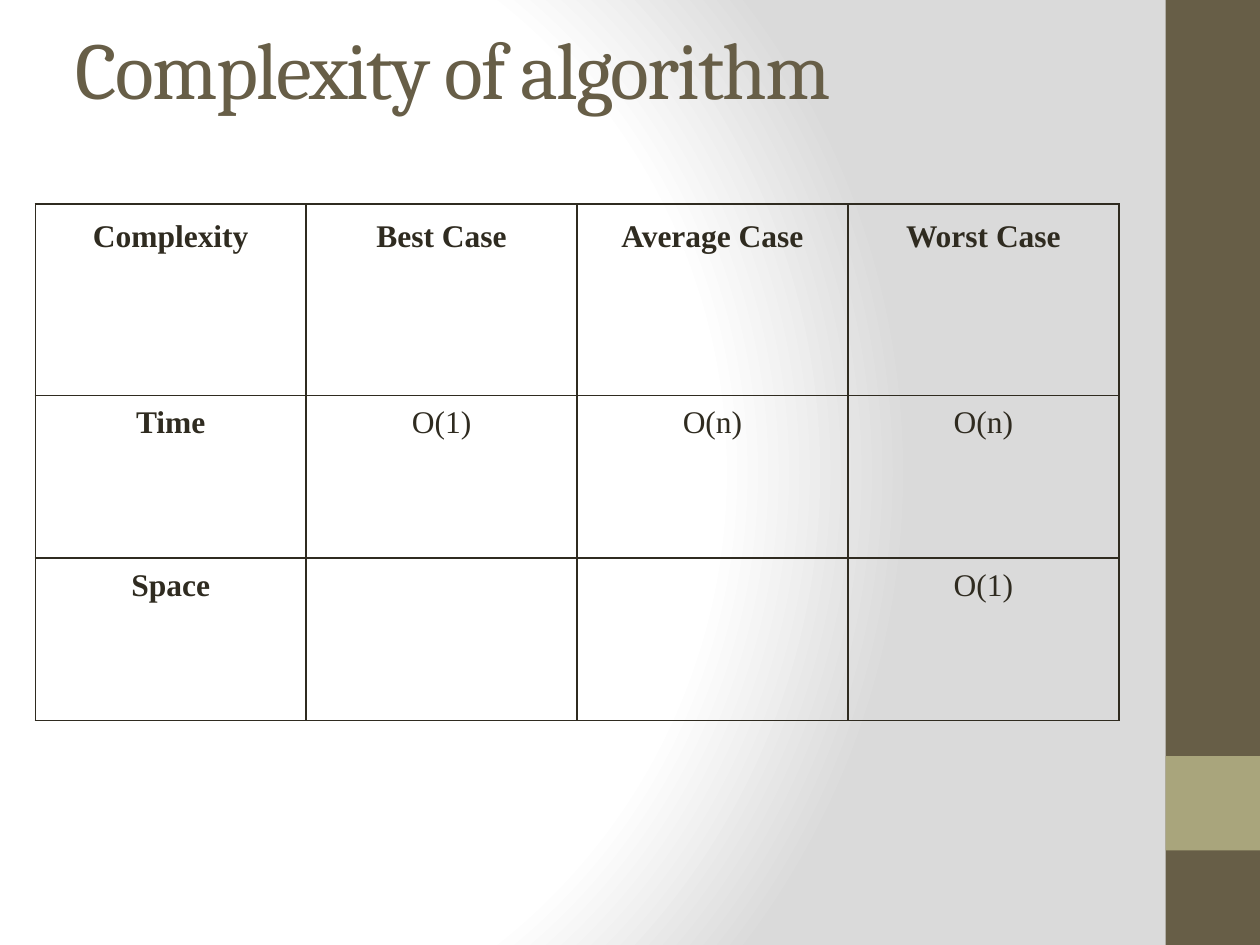
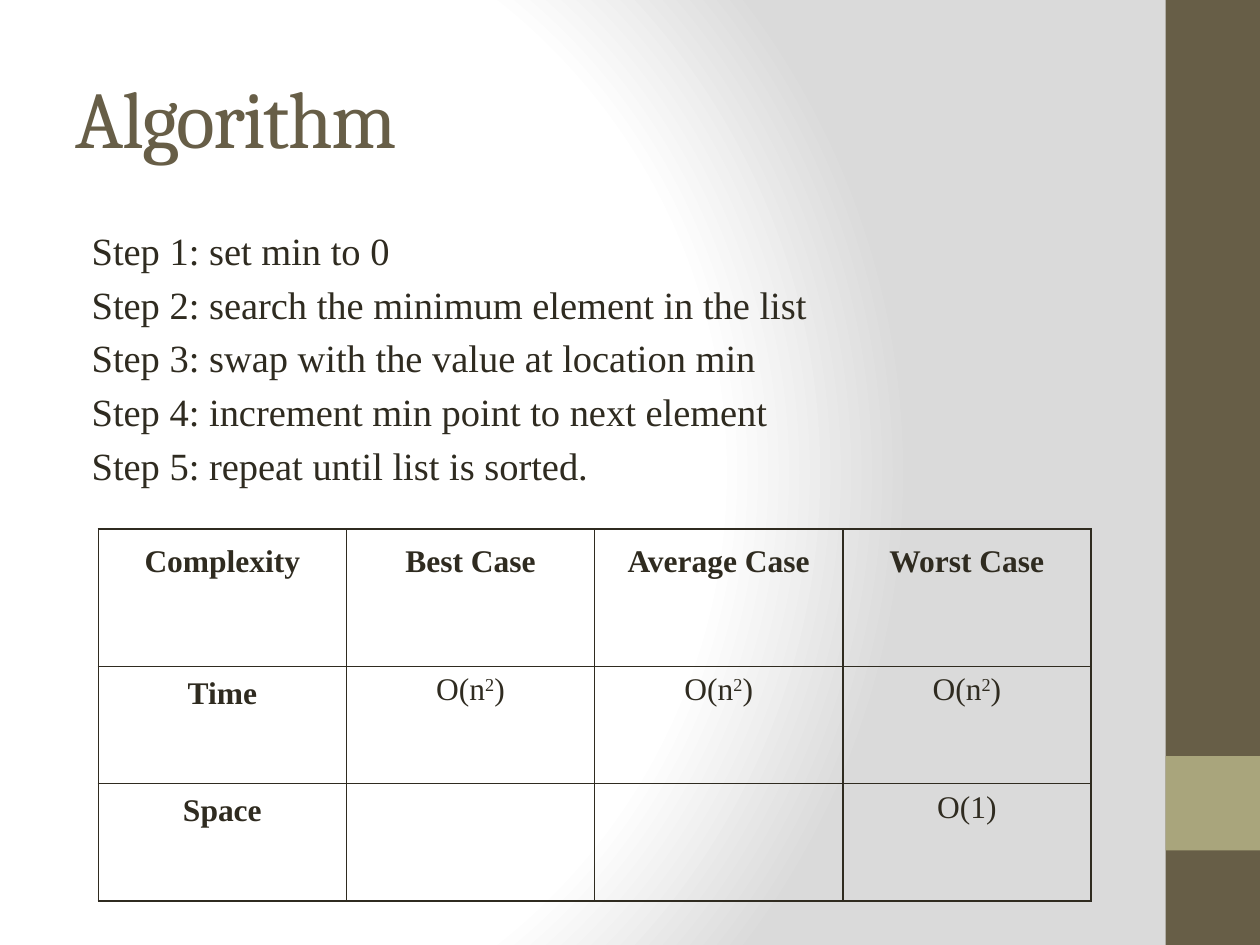
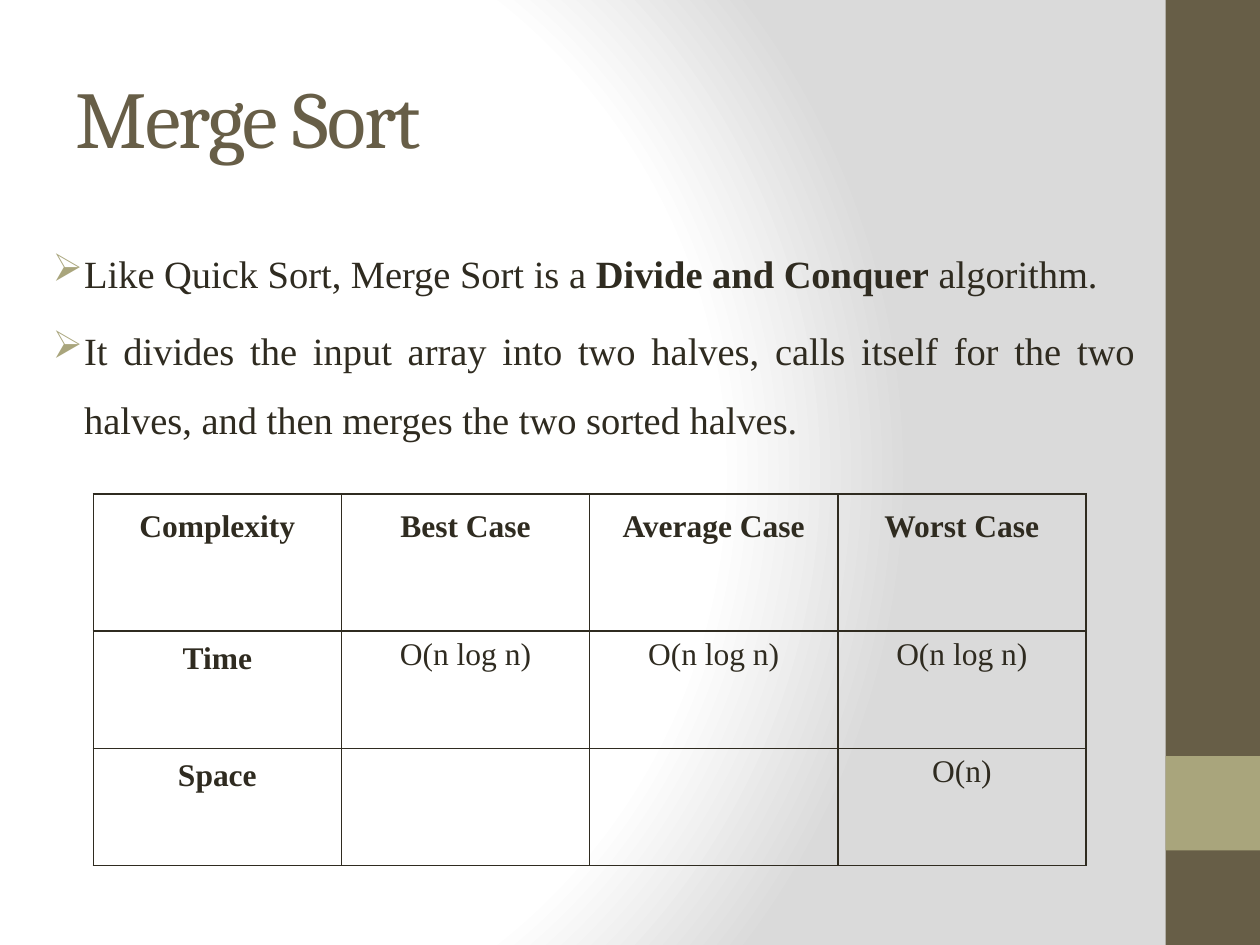
"""Builds three slides on the complexity of sorting and searching algorithms."""

from dataclasses import dataclass

from lxml.etree import SubElement
from pptx import Presentation
from pptx.dml.color import RGBColor
from pptx.enum.shapes import MSO_SHAPE
from pptx.enum.text import MSO_ANCHOR, PP_ALIGN
from pptx.oxml import parse_xml
from pptx.oxml.ns import nsdecls, qn
from pptx.util import Inches, Pt


@dataclass(frozen=True)
class Theme:
    olive: str = "675E47"
    sage: str = "A9A57C"
    ink: str = "2F2B20"
    white: str = "FFFFFF"
    grey: str = "DADADA"
    title_font: str = "Cambria"
    text_font: str = "Times New Roman"
    title_size: int = 46
    body_size: int = 22
    table_size: int = 18


THEME = Theme()

BANDS = [
    ((9.25, 0, 0.75, 7.5), THEME.olive),
    ((9.25, 6, 0.75, 0.75), THEME.sage),
]
TITLE_BOX = (0.5, 0.3, 8.33, 1.25)
HEADINGS = ["Complexity", "Best Case", "Average Case", "Worst Case"]
SQUARE = [("O(n", ""), ("2", "super"), (")", "")]

SLIDES = [
    {
        "title": "Complexity of algorithm",
        "title_bottom_inset": 0.83,
        "table": {
            "at": (0.28, 1.62), "column": 2.15, "rows": (1.52, 1.29, 1.29),
            "value_insets": (0.08, 0.08),
            "time": ["O(1)", "O(n)", "O(n)"], "space": ["", "", "O(1)"],
        },
    },
    {
        "title": "Algorithm",
        "body": {
            "box": (0.5, 1.75, 8.33, 5.25), "line_spacing": 1, "bullet": None,
            "paragraphs": [
                "Step 1: set min to 0",
                "Step 2: search the minimum element in the list",
                "Step 3: swap with the value at location min",
                "Step 4: increment min point to next element",
                "Step 5: repeat until list is sorted.",
            ],
        },
        "table": {
            "at": (0.78, 4.2), "column": 1.97, "rows": (1.09, 0.93, 0.93),
            "value_insets": (0.1, 0.05),
            "time": [SQUARE, SQUARE, SQUARE], "space": ["", "", "O(1)"],
        },
    },
    {
        "title": "Merge Sort",
        "body": {
            "box": (0.19, 1.75, 8.92, 5.26), "line_spacing": 1.5, "bullet": "➢",
            "paragraphs": [
                [
                    ("Like Quick Sort, Merge Sort is a", ""),
                    (" Divide and Conquer", "bold"),
                    (" algorithm.", ""),
                ],
                "It divides the input array into two halves, calls itself for the two "
                "halves, and then merges the two sorted halves.",
            ],
        },
        "table": {
            "at": (0.74, 3.92), "column": 1.97, "rows": (1.09, 0.93, 0.93),
            "value_insets": (0.1, 0.05),
            "time": ["O(n log n)"] * 3, "space": ["", "", "O(n)"],
        },
    },
]


def inches(values):
    """Converts a sequence of numbers to lengths."""
    return [Inches(value) for value in values]


def format_font(font, name, size, color):
    """Sets the typeface, size and colour of a font."""
    font.name = name
    font.size = Pt(size)
    font.color.rgb = RGBColor.from_string(color)


def write_runs(paragraph, content, size, bold=False):
    """Fills a paragraph from a string or from (text, style) pairs."""
    pieces = [(content, "")] if isinstance(content, str) else content
    for text, style in pieces:
        run = paragraph.add_run()
        run.text = text
        format_font(run.font, THEME.text_font, size, THEME.ink)
        run.font.bold = bold or style == "bold"
        if style == "super":
            run.font._element.set("baseline", "30000")


def decorate_master(master, slide):
    """Gives the master its gradient background and side bands."""
    master.background.fill.gradient()
    gradient = next(master.element.iter(qn("a:gradFill")))
    stops = "".join(
        f'<a:gs pos="{position}"><a:srgbClr val="{color}"/></a:gs>'
        for position, color in [(0, THEME.white), (75000, THEME.white), (100000, THEME.grey)]
    )
    gradient.getparent().replace(gradient, parse_xml(
        f'<a:gradFill {nsdecls("a")} rotWithShape="1"><a:gsLst>{stops}</a:gsLst>'
        '<a:path path="circle"><a:fillToRect l="20000" t="50000" r="100000" b="50000"/>'
        '</a:path></a:gradFill>'
    ))
    for index, (box, color) in enumerate(BANDS):
        band = slide.shapes.add_shape(MSO_SHAPE.RECTANGLE, *inches(box))
        band.shadow.inherit = False
        band.fill.solid()
        band.fill.fore_color.rgb = RGBColor.from_string(color)
        band.line.fill.background()
        band.element.nvSpPr.cNvPr.set("id", str(100 + index))
        master.shapes.element.insert(2 + index, band.element)


def add_title(slide, text, bottom_inset):
    """Places and formats the title placeholder."""
    title = slide.shapes.title
    title.left, title.top, title.width, title.height = inches(TITLE_BOX)
    frame = title.text_frame
    frame.text = text
    frame.vertical_anchor = MSO_ANCHOR.MIDDLE
    frame.margin_bottom = Inches(bottom_inset)
    paragraph = frame.paragraphs[0]
    paragraph.alignment = PP_ALIGN.LEFT
    font = paragraph.runs[0].font
    format_font(font, THEME.title_font, THEME.title_size, THEME.olive)
    font._element.set("spc", "-100")


def add_body(slide, body):
    """Adds the justified text with hanging indents and optional bullets."""
    frame = slide.shapes.add_textbox(*inches(body["box"])).text_frame
    frame.word_wrap = True
    for index, content in enumerate(body["paragraphs"]):
        paragraph = frame.add_paragraph() if index else frame.paragraphs[0]
        write_runs(paragraph, content, THEME.body_size)
        paragraph.alignment = PP_ALIGN.JUSTIFY
        paragraph.line_spacing = float(body["line_spacing"])
        paragraph.space_before = Pt(THEME.body_size * 0.2)
        properties = paragraph._p.get_or_add_pPr()
        properties.set("marL", str(Inches(0.38)))
        properties.set("indent", str(Inches(-0.25)))
        if body["bullet"]:
            bullet_color = SubElement(properties, qn("a:buClr"))
            SubElement(bullet_color, qn("a:srgbClr"), val=THEME.sage)
            SubElement(properties, qn("a:buChar"), char=body["bullet"])


def add_borders(cell):
    """Draws a thin line on each side of a cell."""
    properties = cell._tc.get_or_add_tcPr()
    for index, side in enumerate(("lnL", "lnR", "lnT", "lnB")):
        properties.insert(index, parse_xml(
            f'<a:{side} {nsdecls("a")} w="{Pt(1)}"><a:solidFill>'
            f'<a:srgbClr val="{THEME.ink}"/></a:solidFill></a:{side}>'
        ))


def add_complexity_table(slide, data):
    """Adds the table of best, average and worst cases."""
    rows = [HEADINGS, ["Time", *data["time"]], ["Space", *data["space"]]]
    size = (data["column"] * len(HEADINGS), sum(data["rows"]))
    table = slide.shapes.add_table(
        len(rows), len(HEADINGS), *inches(data["at"] + size)
    ).table
    table.first_row = table.horz_banding = False
    for column in table.columns:
        column.width = Inches(data["column"])
    for row_index, (height, contents) in enumerate(zip(data["rows"], rows)):
        table.rows[row_index].height = Inches(height)
        for column_index, content in enumerate(contents):
            cell = table.cell(row_index, column_index)
            if row_index == 0:
                horizontal, vertical = 0.12, 0.12
            elif column_index == 0:
                horizontal, vertical = 0.08, 0.08
            else:
                horizontal, vertical = data["value_insets"]
            cell.margin_left = cell.margin_right = Inches(horizontal)
            cell.margin_top = cell.margin_bottom = Inches(vertical)
            cell.fill.background()
            add_borders(cell)
            if content:
                paragraph = cell.text_frame.paragraphs[0]
                paragraph.alignment = PP_ALIGN.CENTER
                is_heading = row_index == 0 or column_index == 0
                write_runs(paragraph, content, THEME.table_size, is_heading)


def main():
    """Builds and saves the presentation."""
    presentation = Presentation()
    presentation.slide_width, presentation.slide_height = Inches(10), Inches(7.5)
    title_only = presentation.slide_layouts[5]
    for index, content in enumerate(SLIDES):
        slide = presentation.slides.add_slide(title_only)
        if index == 0:
            decorate_master(presentation.slide_master, slide)
        add_title(slide, content["title"], content.get("title_bottom_inset", 0.05))
        if "body" in content:
            add_body(slide, content["body"])
        add_complexity_table(slide, content["table"])
    presentation.save("out.pptx")


if __name__ == "__main__":
    main()
